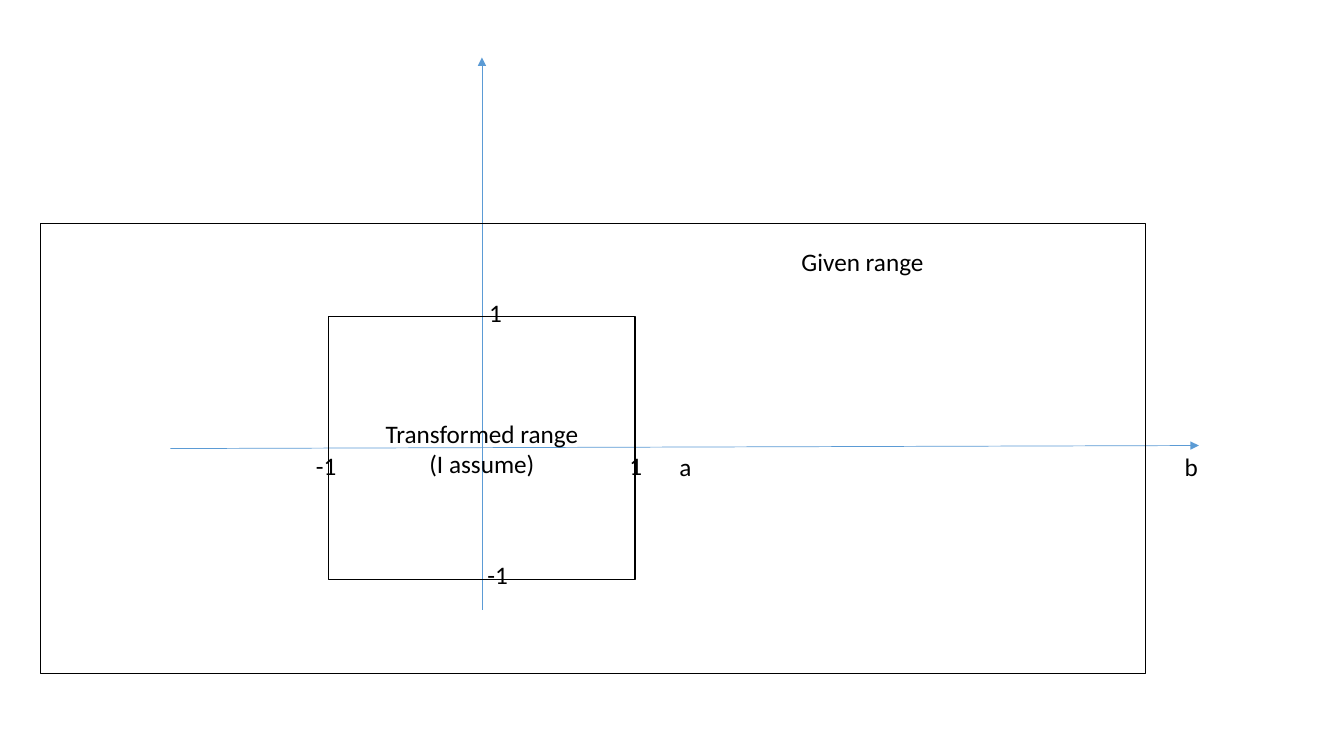
import pptx
import pptx.util
import pptx.dml.color
import pptx.enum.shapes
import pptx.enum.text
import pptx.oxml.ns
from lxml import etree

Inches = pptx.util.Inches
Pt = pptx.util.Pt
ALIGN = pptx.enum.text.PP_ALIGN
ANCHOR = pptx.enum.text.MSO_ANCHOR

THEME = {
    "font": "Calibri", "size": 18, "ink": "000000",
    "axis": "5B9BD5", "thin": 0.5, "edge": 1,
}

# Start x, y and end x, y
AXES = [(1.69, 4.45, 11.89, 4.42), (4.78, 6.05, 4.78, 0.57)]

# Left, top, width, height, lines of text
RANGES = [
    (3.26, 3.14, 3.04, 2.61, ["Transformed range", "(I assume)"]),
    (0.4, 2.22, 10.96, 4.46, []),
]

# Text, left, top, width, format
LABELS = [
    ("a", 6.64, 4.43, 0.3, {"align": ALIGN.LEFT}),
    ("b", 11.65, 4.43, 0.3, {"align": ALIGN.LEFT}),
    ("-1", 4.67, 5.5, 0.53, {}),
    ("1", 4.65, 2.9, 0.53, {}),
    ("1", 6.04, 4.42, 0.53, {}),
    ("-1", 2.97, 4.42, 0.53, {}),
    ("Given range", 7.84, 2.39, 1.43, {"wrap": False}),
]
TALL = 0.4


def color(name):
    """Return the theme color of that name."""
    return pptx.dml.color.RGBColor.from_string(THEME[name])


def write(frame, lines, align=ALIGN.CENTER, anchor=ANCHOR.TOP, wrap=True):
    """Fill a text frame with one paragraph per line."""
    frame.word_wrap = wrap
    frame.vertical_anchor = anchor
    for i, line in enumerate(lines):
        para = frame.add_paragraph() if i else frame.paragraphs[0]
        para.alignment = align
        run = para.add_run()
        run.text = line
        run.font.name = THEME["font"]
        run.font.size = Pt(THEME["size"])
        run.font.color.rgb = color("ink")


def draw_axis(slide, ends):
    """Draw a thin line with an arrowhead at its end."""
    axis = slide.shapes.add_connector(
        pptx.enum.shapes.MSO_CONNECTOR.STRAIGHT, *map(Inches, ends))
    axis.line.color.rgb = color("axis")
    axis.line.width = Pt(THEME["thin"])
    qn = pptx.oxml.ns.qn
    head = etree.SubElement(axis.line._get_or_add_ln(), qn("a:tailEnd"))
    head.set("type", "triangle")
    etree.SubElement(axis._element.spPr, qn("a:effectLst"))


def draw_range(slide, box, lines):
    """Draw an unfilled box with centered text."""
    rect = slide.shapes.add_shape(
        pptx.enum.shapes.MSO_SHAPE.RECTANGLE, *map(Inches, box))
    rect.shadow.inherit = False
    rect.fill.background()
    rect.line.color.rgb = color("ink")
    rect.line.width = Pt(THEME["edge"])
    write(rect.text_frame, lines, anchor=ANCHOR.MIDDLE, wrap=False)


def draw_label(slide, text, box, style):
    """Add a text box that grows with its text."""
    frame = slide.shapes.add_textbox(*map(Inches, box)).text_frame
    frame.auto_size = pptx.enum.text.MSO_AUTO_SIZE.SHAPE_TO_FIT_TEXT
    write(frame, [text], **style)


def build():
    """Build and save the slide."""
    deck = pptx.Presentation()
    deck.slide_width, deck.slide_height = Inches(13.33), Inches(7.5)
    slide = deck.slides.add_slide(deck.slide_layouts[6])
    for ends in AXES:
        draw_axis(slide, ends)
    for *box, lines in RANGES:
        draw_range(slide, box, lines)
    for text, left, top, width, style in LABELS:
        draw_label(slide, text, (left, top, width, TALL), style)
    deck.save("out.pptx")


build()
